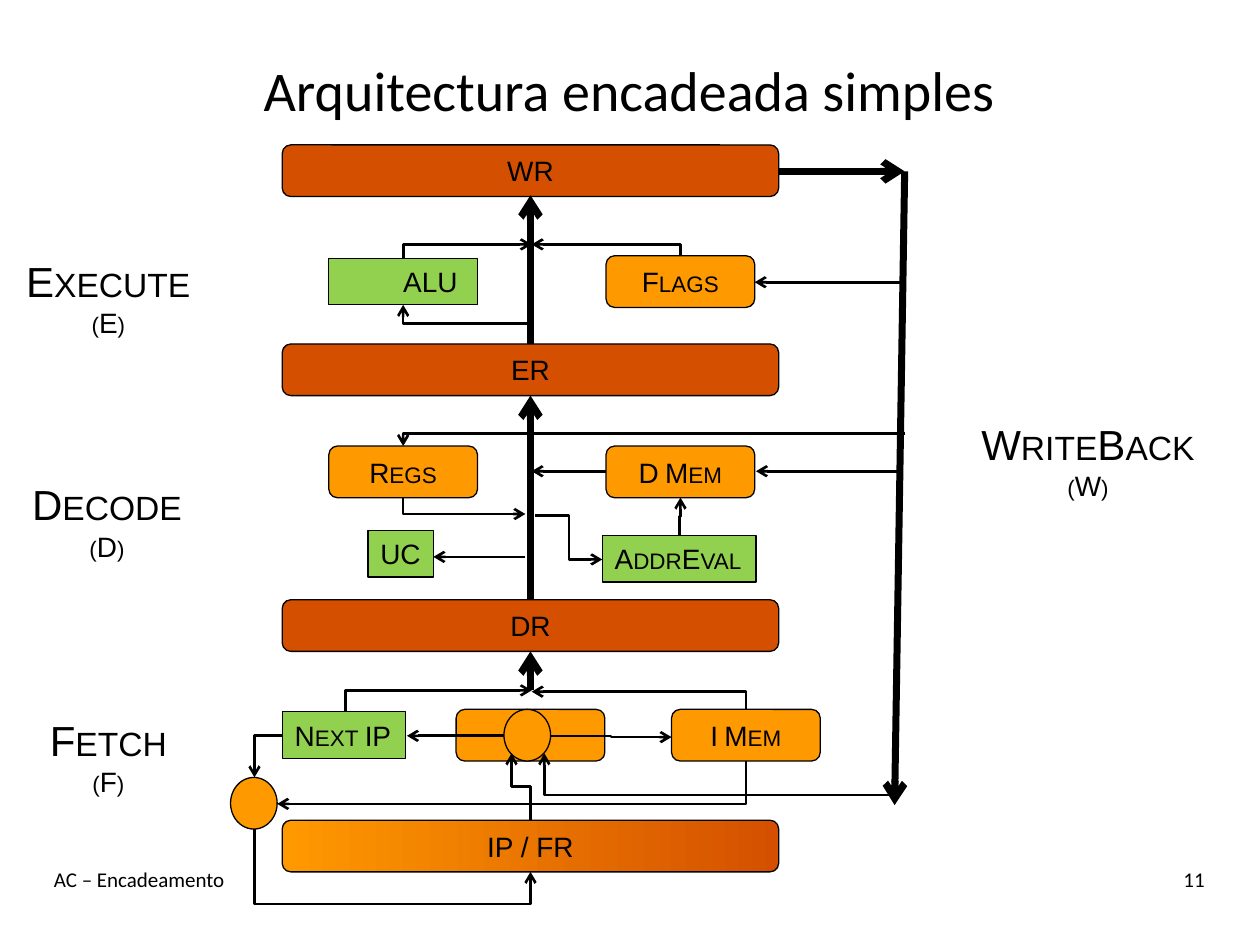
"""Build the slide on the simple pipelined architecture."""
from lxml.etree import SubElement
from pptx import Presentation
from pptx.dml.color import RGBColor
from pptx.enum.shapes import MSO_CONNECTOR, MSO_SHAPE
from pptx.enum.text import MSO_ANCHOR, PP_ALIGN
from pptx.oxml.ns import qn
from pptx.util import Inches, Pt

colour = RGBColor.from_string
BLACK, ORANGE, GREEN, RUST = "000000", "FF9900", "92D050", "D45000"

deck = Presentation()
deck.slide_width, deck.slide_height = Inches(10), Inches(7.5)
slide = deck.slides.add_slide(deck.slide_layouts[6])


def write(part, text, sizes=(16,), font="Arial", align=PP_ALIGN.CENTER,
          anchor=MSO_ANCHOR.MIDDLE, wrap=True, small=False):
    frame = part.text_frame
    frame.word_wrap, frame.vertical_anchor = wrap, anchor
    frame.text = text
    for paragraph, size in zip(frame.paragraphs, sizes):
        paragraph.alignment = align
        run = paragraph.runs[0]
        run.font.size, run.font.name = Pt(size), font
        run.font.color.rgb = colour(BLACK)
        if small:
            run.font._element.set("cap", "small")


def connect(route, x1, y1, x2, y2, width=1.5, bend=0.5):
    dx, dy = x2 - x1, y2 - y1
    turn = 0
    if route.startswith("up"):
        turn = 90 if dx * dy < 0 else 270
        sign = 1 if turn == 90 else -1
        mid_x, mid_y = (x1 + x2) / 2, (y1 + y2) / 2
        half_x, half_y = sign * dy / 2, -sign * dx / 2
        x1, y1, x2, y2 = mid_x - half_x, mid_y - half_y, mid_x + half_x, mid_y + half_y
    kind = MSO_CONNECTOR.STRAIGHT if route == "line" else MSO_CONNECTOR.ELBOW
    arrow = slide.shapes.add_connector(kind, Inches(x1), Inches(y1), Inches(x2), Inches(y2))
    arrow.line.width = Pt(width)
    arrow.line.color.rgb = colour(BLACK)
    properties = arrow.element.spPr
    if turn:
        properties.find(qn("a:xfrm")).set("rot", str(turn * 60000))
    geometry = properties.find(qn("a:prstGeom"))
    if route.endswith("corner"):
        geometry.set("prst", "bentConnector2")
    elif route.endswith("step"):
        SubElement(geometry.find(qn("a:avLst")), qn("a:gd"),
                   name="adj1", fmla=f"val {round(bend * 100000)}")
    SubElement(properties.find(qn("a:ln")), qn("a:tailEnd"), type="arrow")
    SubElement(properties, qn("a:effectLst"))


TOP, LEFT, RIGHT = MSO_ANCHOR.TOP, PP_ALIGN.LEFT, PP_ALIGN.RIGHT
for text, x, y, w, h, style in [
    ("Arquitectura encadeada simples", 0.33, 0.25, 9.33, 0.92,
     dict(sizes=(32,), font="Calibri")),
    ("AC – Encadeamento", 0.33, 6.83, 7, 0.5,
     dict(sizes=(12,), font="Calibri", align=LEFT, anchor=TOP)),
    ("11", 8.33, 6.83, 1.33, 0.5,
     dict(sizes=(12,), font="Calibri", align=RIGHT, anchor=TOP)),
] + [
    (f"{stage}\n({stage[0]})", x, y, w, 0.77,
     dict(sizes=(24, 16), anchor=TOP, wrap=False, small=True))
    for stage, x, y, w in [("Fetch", 0.29, 5.62, 1.14), ("Decode", 0.15, 3.75, 1.4),
                           ("Execute", 0.1, 1.98, 1.52), ("WriteBack", 7.68, 3.27, 1.91)]
]:
    label = slide.shapes.add_textbox(Inches(x), Inches(y), Inches(w), Inches(h))
    write(label, text, **style)

ROUND, RECT, OVAL = MSO_SHAPE.ROUNDED_RECTANGLE, MSO_SHAPE.RECTANGLE, MSO_SHAPE.OVAL
registers = [(ROUND, name, 2.24, y, 3.94, 0.41, RUST)
             for name, y in [("WR", 1.15), ("ER", 2.73), ("DR", 4.76), ("IP / FR", 6.51)]]
memories = [(ROUND, name, x, y, 1.18, 0.41, ORANGE)
            for name, x, y in [("Flags", 4.81, 2.03), ("Regs", 2.61, 3.54), ("D Mem", 4.81, 3.54),
                               ("", 3.62, 5.63), ("I Mem", 5.33, 5.63)]]
logic = [(RECT, name, x, y, w, 0.37, GREEN)
         for name, x, y, w in [("ALU", 2.61, 2.05, 1.18), ("UC", 2.92, 4.21, 0.52),
                               ("AddrEval", 4.78, 4.25, 1.22), ("Next IP", 2.24, 5.65, 0.98)]]
selectors = [(OVAL, "", x, y, 0.37, 0.41, ORANGE) for x, y in [(4, 5.63), (1.83, 6.17)]]

for outline, name, x, y, w, h, fill in registers + memories + logic + selectors:
    unit = slide.shapes.add_shape(outline, Inches(x), Inches(y), Inches(w), Inches(h))
    unit.shadow.inherit = False
    unit.line.color.rgb = colour(BLACK)
    unit.line.width = Pt(0.75)
    if name == "IP / FR":
        unit.fill.gradient()
        unit.fill.gradient_angle = 0
        for stop, shade in zip(unit.fill.gradient_stops, (ORANGE, RUST)):
            stop.color.rgb = colour(shade)
    else:
        unit.fill.solid()
        unit.fill.fore_color.rgb = colour(fill)
    if name:
        fitted = fill == GREEN and name != "ALU"
        write(unit, name, small=fill != RUST, wrap=not fitted,
              align=LEFT if fitted else PP_ALIGN.CENTER)

for ends in [(4.21, 5.48, 4.21, 5.17), (4.21, 4.76, 4.21, 3.14), (4.21, 2.73, 4.21, 1.55),
             (6.18, 1.36, 7.18, 1.36), (7.18, 1.36, 7.1, 6.39)]:
    connect("line", *ends, width=4)

for route, *ends in [
    ("line", 7.18, 2.24, 5.99, 2.24),
    ("line", 7.14, 3.74, 6, 3.74),
    ("line", 4.81, 3.74, 4.22, 3.74),
    ("line", 4.17, 4.42, 3.44, 4.42),
    ("line", 4, 5.84, 3.23, 5.84),
    ("up-corner", 3.2, 2.05, 4.22, 1.94),
    ("up-corner", 5.4, 2.03, 4.22, 1.94),
    ("up-corner", 3.2, 3.95, 4.17, 4.08),
    ("up-corner", 2.74, 5.65, 4.22, 5.48),
    ("up-corner", 5.92, 5.63, 4.22, 5.49),
    ("up-corner", 5.92, 6.04, 2.2, 6.38),
    ("corner", 4.22, 2.57, 3.2, 2.42),
    ("corner", 7.18, 3.44, 3.2, 3.54),
    ("corner", 7.14, 6.31, 4.32, 5.98),
    ("corner", 2.24, 5.84, 2.02, 6.17),
    ("step", 4.37, 5.84, 5.33, 5.85),
    ("step", 4.25, 4.09, 4.78, 4.44),
    ("up-step", 5.39, 4.25, 5.4, 3.95),
    ("up-step", 4.21, 6.51, 4.06, 5.98),
]:
    connect(route, *ends)
connect("up-step", 2.02, 6.58, 4.21, 6.92, bend=1.75)

deck.save("out.pptx")
